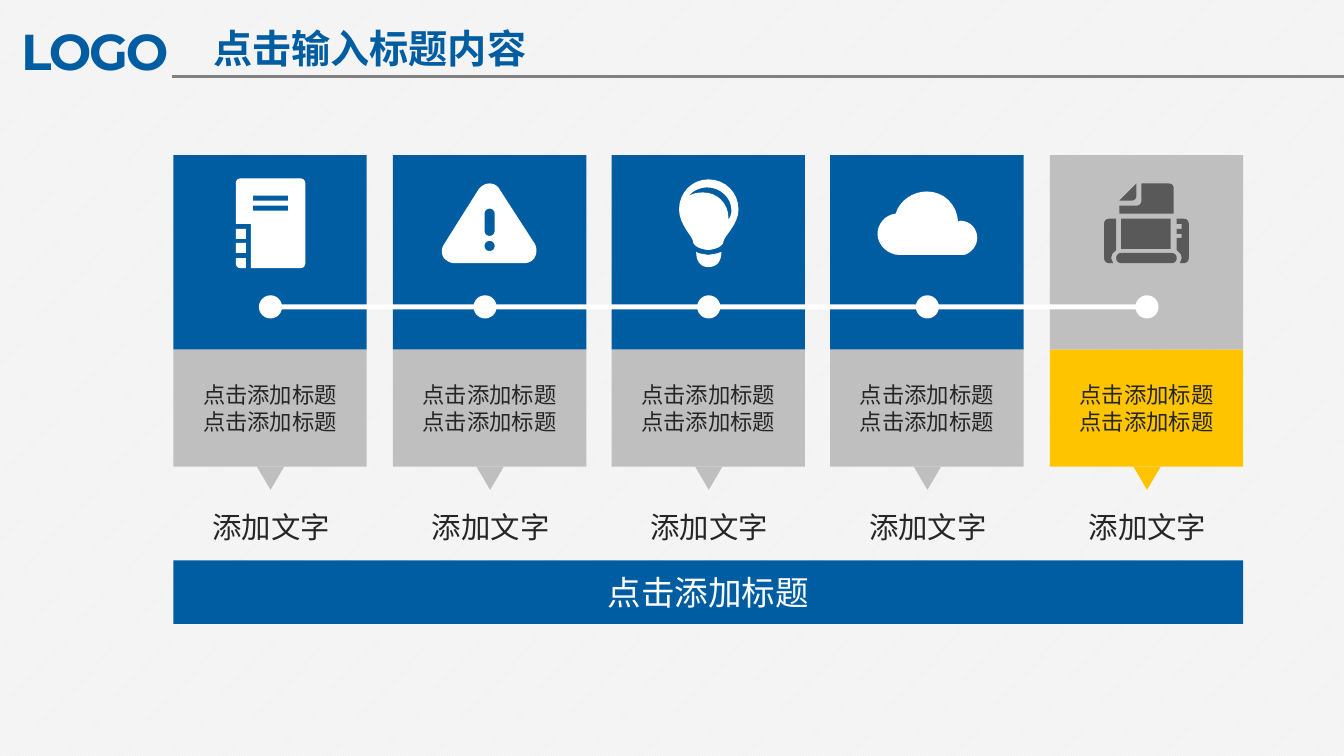
from lxml.etree import SubElement
from pptx import Presentation
from pptx.dml.color import RGBColor
from pptx.enum.dml import MSO_PATTERN
from pptx.enum.shapes import MSO_CONNECTOR, MSO_SHAPE
from pptx.enum.text import MSO_ANCHOR, PP_ALIGN
from pptx.oxml.ns import qn
from pptx.util import Pt

PX = 9144
CURVE_STEPS = 8
BODY_FONT = "Noto Sans CJK SC"
LOGO_FONT = "Montserrat"

BLUE = RGBColor(0x00, 0x5D, 0xA2)
YELLOW = RGBColor(0xFF, 0xC4, 0x00)
SILVER = RGBColor(0xBF, 0xBF, 0xBF)
GRAY = RGBColor(0x80, 0x80, 0x80)
DARK_GRAY = RGBColor(0x59, 0x59, 0x59)
INK = RGBColor(0x26, 0x26, 0x26)
PALE = RGBColor(0xF2, 0xF2, 0xF2)
WHITE = RGBColor(0xFF, 0xFF, 0xFF)


def box_outline(left, top, width, height):
    right, bottom = left + width, top + height
    return [(left, top), (right, top), (right, bottom), (left, bottom)]


# Two numbers are a corner; six are a cubic curve.
NOTEBOOK = [
    [(5, 0), (64, 0), (67, 0, 69, 2, 69, 5), (69, 84), (69, 87, 67, 89, 64, 89),
     (15, 89), (15, 45), (0, 45), (0, 5), (0, 2, 2, 0, 5, 0)],
    box_outline(17, 17, 35, 5),
    box_outline(17, 27, 35, 5),
    box_outline(0, 50, 10, 10),
    box_outline(0, 64, 10, 10),
    [(10, 79), (10, 89), (5, 89), (2, 89, 0, 87, 0, 84), (0, 79)],
]
WARNING = [
    [(37, 6), (40, 2, 44, 0, 48, 0), (52, 0, 56, 2, 58, 6), (93, 60),
     (95, 64, 95, 69, 93, 73), (91, 77, 87, 79, 82, 79), (13, 79),
     (9, 79, 5, 77, 2, 73), (0, 69, 0, 64, 3, 60)],
    [(48, 67), (51, 67, 53, 65, 53, 62), (53, 59, 51, 57, 48, 57),
     (45, 57, 43, 59, 43, 62), (43, 65, 45, 67, 48, 67)],
    [(43, 47), (43, 50, 45, 52, 48, 52), (51, 52, 53, 50, 53, 47), (53, 30),
     (53, 27, 51, 25, 48, 25), (45, 25, 43, 27, 43, 30)],
]
BULB = [
    [(29, 0), (46, 0, 59, 13, 59, 30), (59, 45, 44, 57, 44, 62),
     (44, 64, 42, 66, 38, 68), (35, 69, 32, 70, 29, 70), (26, 70, 23, 69, 20, 68),
     (16, 66, 14, 64, 14, 62), (14, 57, 0, 45, 0, 30), (0, 13, 13, 0, 29, 0)],
    [(24, 13), (38, 13, 49, 24, 49, 38), (49, 40), (51, 37, 52, 34, 52, 31),
     (52, 18, 41, 8, 28, 8), (21, 8, 14, 11, 9, 17), (13, 14, 18, 13, 24, 13)],
    [(17, 72), (19, 73), (22, 74, 25, 74, 29, 75), (33, 74, 36, 74, 39, 73),
     (42, 72), (42, 81, 38, 87, 29, 87), (21, 87, 17, 81, 17, 72)],
]
CLOUD = [
    [(18, 22), (22, 9, 35, 0, 49, 0), (66, 0, 79, 13, 80, 30), (82, 29),
     (92, 29, 99, 37, 99, 46), (99, 54, 93, 61, 86, 63), (22, 63),
     (10, 63, 0, 53, 0, 42), (0, 32, 8, 23, 18, 22)],
]
PRINTER = [
    [(5, 35), (12, 35), (12, 66), (10, 68), (8, 70), (7, 74), (8, 77), (9, 79),
     (5, 79), (2, 79, 0, 77, 0, 74), (0, 40), (0, 37, 2, 35, 5, 35)],
    [(17, 69), (67, 69), (70, 69, 72, 71, 72, 74), (72, 77, 70, 79, 67, 79),
     (17, 79), (14, 79, 12, 77, 12, 74), (12, 71, 14, 69, 17, 69)],
    [(72, 64), (72, 54), (77, 54), (77, 50), (72, 50), (72, 45), (77, 45),
     (77, 40), (72, 40), (72, 35), (79, 35), (82, 35, 84, 37, 84, 40), (84, 74),
     (84, 77, 82, 79, 79, 79), (75, 79), (76, 77), (77, 74), (76, 70), (74, 68),
     (72, 66)],
    [(27, 17), (15, 17), (32, 0), (32, 12), (32, 15, 30, 17, 27, 17)],
    [(15, 22), (32, 22), (35, 22, 37, 20, 37, 17), (37, 0), (64, 0),
     (67, 0, 69, 2, 69, 5), (69, 30), (15, 30)],
    box_outline(17, 35, 49, 30),
]
CARDS = [
    (NOTEBOOK, 62, 23, BLUE, WHITE, SILVER),
    (WARNING, 48, 28, BLUE, WHITE, SILVER),
    (BULB, 67, 24, BLUE, WHITE, SILVER),
    (CLOUD, 47, 36, BLUE, WHITE, SILVER),
    (PRINTER, 54, 28, SILVER, DARK_GRAY, YELLOW),
]
DOT_LEFTS = [257, 470, 692, 909, 1127]


def paint(shape, color):
    shape.shadow.inherit = False
    shape.fill.solid()
    shape.fill.fore_color.rgb = color
    shape.line.fill.background()
    return shape


def add_block(slide, kind, left, top, width, height, color):
    box = [value * PX for value in (left, top, width, height)]
    return paint(slide.shapes.add_shape(kind, *box), color)


def write(shape, text, size, color, font=BODY_FONT, bold=False, spacing=0):
    shape.text_frame.text = text
    for paragraph in shape.text_frame.paragraphs:
        paragraph.alignment = PP_ALIGN.CENTER
        for run in paragraph.runs:
            run.font.size = Pt(size)
            run.font.bold = bold
            run.font.color.rgb = color
            run.font.name = font
            properties = run.font._element
            SubElement(properties, qn("a:ea")).set("typeface", font)
            if spacing:
                properties.set("spc", str(spacing))


def add_label(slide, left, top, width, height, text, size, color, wrap=True, **style):
    box = [value * PX for value in (left, top, width, height)]
    label = slide.shapes.add_textbox(*box)
    label.text_frame.word_wrap = wrap
    write(label, text, size, color, **style)
    return label


def flatten(outline):
    points = [outline[0]]
    for segment in outline[1:]:
        if len(segment) == 2:
            points.append(segment)
            continue
        controls = (points[-1], segment[:2], segment[2:4], segment[4:])
        for step in range(1, CURVE_STEPS + 1):
            t = step / CURVE_STEPS
            weights = ((1 - t) ** 3, 3 * t * (1 - t) ** 2, 3 * t * t * (1 - t), t ** 3)
            points.append(tuple(
                sum(weight * control[axis] for weight, control in zip(weights, controls))
                for axis in (0, 1)))
    return points


def add_icon(slide, left, top, outlines, color):
    contours = [[((left + x) * PX, (top + y) * PX) for x, y in flatten(outline)]
                for outline in outlines]
    builder = slide.shapes.build_freeform(*contours[0][0])
    builder.add_line_segments(contours[0][1:])
    for contour in contours[1:]:
        builder.move_to(*contour[0])
        builder.add_line_segments(contour[1:])
    paint(builder.convert_to_shape(), color)


def add_header(slide, left, top, width):
    logo = add_label(slide, left + 8, top + 13, 186, 74, "LOGO", 36, BLUE,
                     font=LOGO_FONT, bold=True, spacing=-150)
    frame = logo.text_frame
    frame.margin_left = frame.margin_right = 13 * PX
    frame.margin_top = frame.margin_bottom = 7 * PX
    frame.paragraphs[0].alignment = PP_ALIGN.LEFT
    rule_y = (top + 76) * PX
    rule = slide.shapes.add_connector(
        MSO_CONNECTOR.STRAIGHT, (left + 171) * PX, rule_y, (left + width) * PX, rule_y)
    rule.line.color.rgb = GRAY
    rule.line.width = Pt(2)
    SubElement(rule._element.spPr, qn("a:effectLst"))
    add_label(slide, left + 187, top + 19, 360, 57, "点击输入标题内容", 28, BLUE, bold=True)


def add_card(slide, left, top, width, card):
    outlines, icon_x, icon_y, top_color, icon_color, caption_color = card
    add_block(slide, MSO_SHAPE.RECTANGLE, left, top, width, 193, top_color)
    caption = add_block(slide, MSO_SHAPE.RECTANGLE, left, top + 193, width, 116, caption_color)
    caption.text_frame.vertical_anchor = MSO_ANCHOR.MIDDLE
    write(caption, "点击添加标题\n点击添加标题", 16, INK)
    add_icon(slide, left + icon_x, top + icon_y, outlines, icon_color)
    pointer = add_block(slide, MSO_SHAPE.ISOSCELES_TRIANGLE,
                        left + 83, top + 309, 27, 23, caption_color)
    pointer.rotation = 180
    add_label(slide, left + 27, top + 346, 140, 46, "添加文字", 21, INK, wrap=False)


def add_timeline(slide, left, top, width):
    for dot_left in DOT_LEFTS:
        add_block(slide, MSO_SHAPE.OVAL, dot_left, top, 23, 23, WHITE)
    add_block(slide, MSO_SHAPE.RECTANGLE, left, top + 9, width, 5, WHITE)


def add_footer_bar(slide, left, top, width, height):
    bar = add_block(slide, MSO_SHAPE.RECTANGLE, left, top, width, height, BLUE)
    bar.text_frame.vertical_anchor = MSO_ANCHOR.MIDDLE
    write(bar, "点击添加标题", 24, WHITE)


def main():
    presentation = Presentation()
    presentation.slide_width = 1334 * PX
    presentation.slide_height = 750 * PX
    slide = presentation.slides.add_slide(presentation.slide_layouts[6])
    background = slide.background.fill
    background.patterned()
    background.pattern = MSO_PATTERN.LIGHT_UPWARD_DIAGONAL
    background.fore_color.rgb = WHITE
    background.back_color.rgb = PALE
    add_header(slide, 0, 0, 1334)
    for index, card in enumerate(CARDS):
        add_card(slide, 172 + round(index * 217.5), 154, 192, card)
    add_timeline(slide, 261, 293, 870)
    add_footer_bar(slide, 172, 556, 1062, 63)
    presentation.save("out.pptx")


if __name__ == "__main__":
    main()
